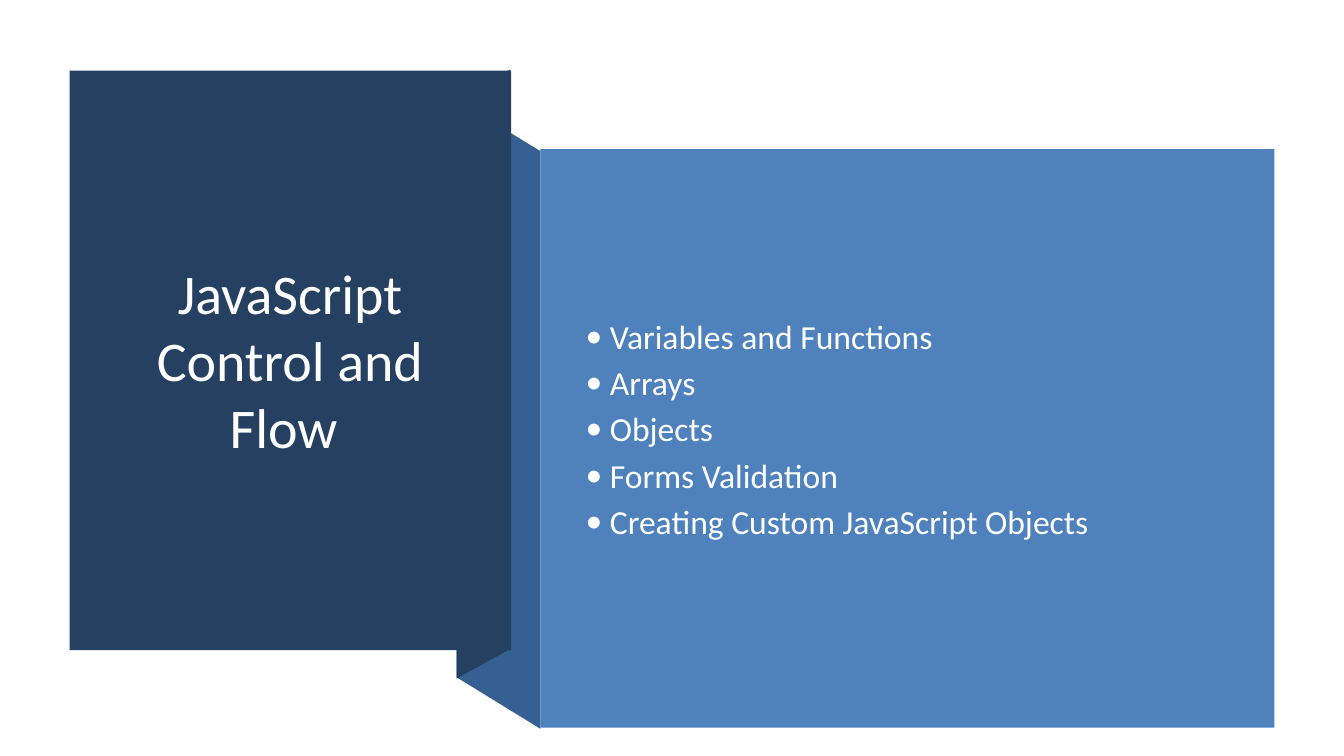
from dataclasses import dataclass

import pptx
import pptx.util
import pptx.dml.color
import pptx.enum.shapes
import pptx.enum.text
import pptx.oxml
import pptx.oxml.ns

Inches = pptx.util.Inches
Pt = pptx.util.Pt

COLORS = {
    "navy": "254061",
    "fold": "376092",
    "panel": "4F81BD",
    "title": "FFFFFF",
    "body": "FEFFFF",
}
FONT = "Calibri"
TOPICS = [
    "Variables and Functions",
    "Arrays",
    "Objects",
    "Forms Validation",
    "Creating Custom JavaScript Objects",
]
BULLET_INDENT = Inches(0.24)


@dataclass
class Face:
    """A flat face of the folded ribbon, given by its corners in inches."""
    corners: list[tuple[float, float]]
    color: str


RIBBON_FACES = [
    Face([(5.36, 7.23), (4.53, 6.72), (4.53, 0.99), (5.36, 1.5)], "fold"),
    Face([(5.06, 6.44), (4.53, 6.73), (4.53, 0.98), (5.06, 0.69)], "navy"),
]


def rgb(name: str) -> pptx.dml.color.RGBColor:
    return pptx.dml.color.RGBColor.from_string(COLORS[name])


def paint(shape, color: str) -> None:
    shape.shadow.inherit = False
    shape.fill.solid()
    shape.fill.fore_color.rgb = rgb(color)
    shape.line.fill.background()


def draw_face(slide, face: Face) -> None:
    builder = slide.shapes.build_freeform(
        *(Inches(value) for value in face.corners[0]), scale=1.0)
    builder.add_line_segments(
        [(Inches(x), Inches(y)) for x, y in face.corners[1:]], close=True)
    paint(builder.convert_to_shape(), face.color)


def draw_panel(slide, left: float, top: float, width: float, height: float,
               color: str) -> None:
    panel = slide.shapes.add_shape(
        pptx.enum.shapes.MSO_SHAPE.RECTANGLE,
        Inches(left), Inches(top), Inches(width), Inches(height))
    paint(panel, color)


def center_vertically(text_frame) -> None:
    text_frame.word_wrap = True
    text_frame.auto_size = pptx.enum.text.MSO_AUTO_SIZE.NONE
    text_frame.vertical_anchor = pptx.enum.text.MSO_ANCHOR.MIDDLE


def format_runs(paragraph, size: float, color: str) -> None:
    for run in paragraph.runs:
        run.font.name = FONT
        run.font.size = Pt(size)
        run.font.color.rgb = rgb(color)


def add_bullet(paragraph) -> None:
    properties = paragraph._p.get_or_add_pPr()
    properties.set("marL", str(BULLET_INDENT))
    properties.set("indent", str(-BULLET_INDENT))
    namespace = pptx.oxml.ns.nsdecls("a")
    properties.append(pptx.oxml.parse_xml(f'<a:buFont {namespace} typeface="{FONT}"/>'))
    properties.append(pptx.oxml.parse_xml(f'<a:buChar {namespace} char="•"/>'))


def write_title(slide) -> None:
    title = slide.shapes.title
    title.left, title.top = Inches(1.02), Inches(1.07)
    title.width, title.height = Inches(3.71), Inches(4.99)
    center_vertically(title.text_frame)
    title.text_frame.text = "JavaScript Control and Flow "
    paragraph = title.text_frame.paragraphs[0]
    paragraph.alignment = pptx.enum.text.PP_ALIGN.CENTER
    format_runs(paragraph, 40, "title")
    # Bring the title in front of the navy panel
    slide.shapes._spTree.append(title._element)


def write_topics(slide) -> None:
    box = slide.shapes.add_textbox(
        Inches(5.71), Inches(1.88), Inches(6.51), Inches(4.74))
    center_vertically(box.text_frame)
    box.text_frame.text = "\n".join(TOPICS)
    for index, paragraph in enumerate(box.text_frame.paragraphs):
        if index:
            paragraph.space_before = Pt(4.3)
        add_bullet(paragraph)
        format_runs(paragraph, 24, "body")


def main() -> None:
    presentation = pptx.Presentation()
    presentation.slide_width = Inches(13.33)
    presentation.slide_height = Inches(7.5)
    slide = presentation.slides.add_slide(presentation.slide_layouts[5])

    # Folded ribbon behind the title panel
    for face in RIBBON_FACES:
        draw_face(slide, face)

    # Title panel
    draw_panel(slide, 0.69, 0.7, 4.38, 5.75, "navy")
    write_title(slide)

    # Topics panel
    draw_panel(slide, 5.36, 1.48, 7.28, 5.74, "panel")
    write_topics(slide)

    presentation.save("out.pptx")


if __name__ == "__main__":
    main()
